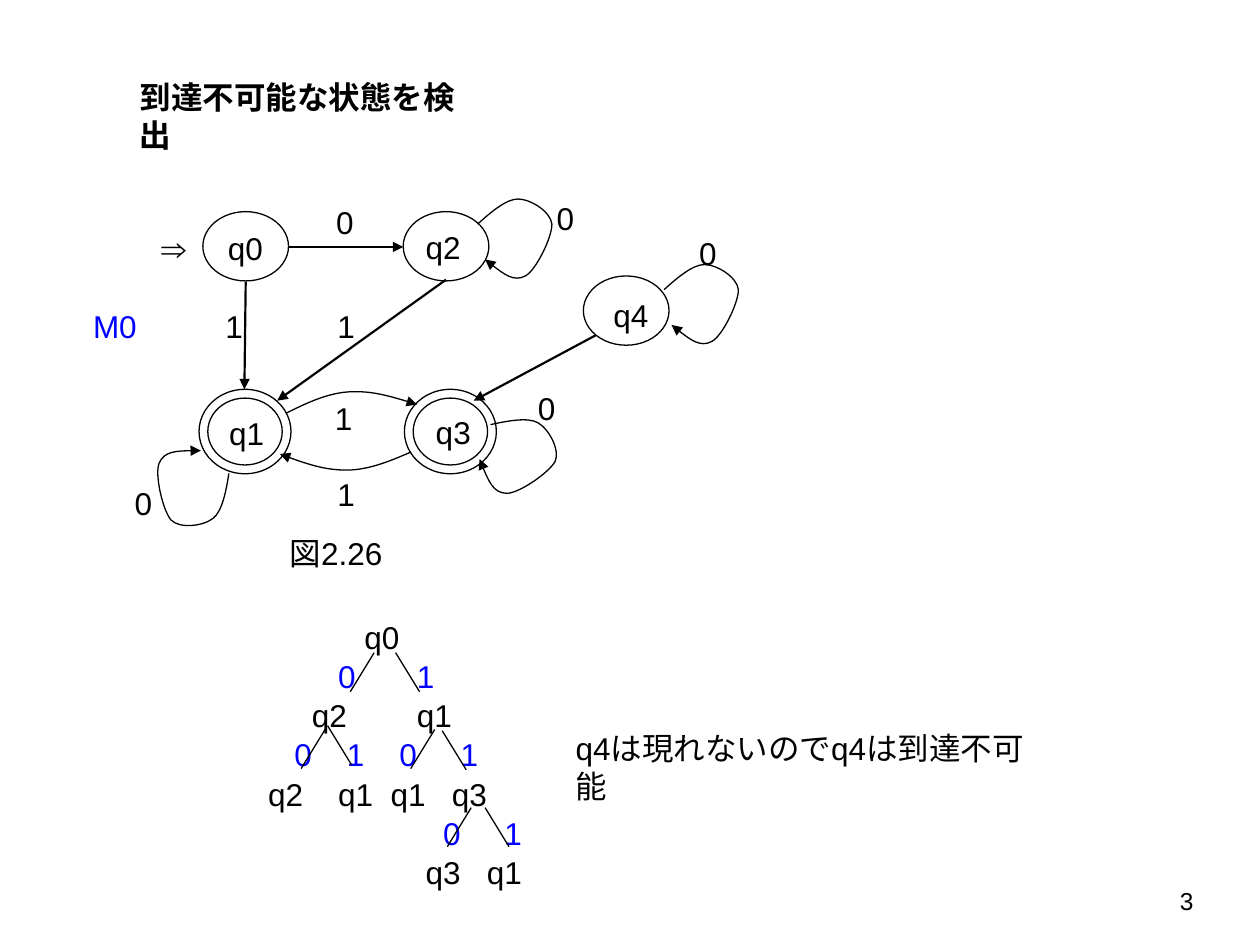
from lxml import etree
from pptx import Presentation
from pptx.dml.color import RGBColor
from pptx.enum.shapes import MSO_CONNECTOR, MSO_SHAPE
from pptx.enum.text import PP_ALIGN
from pptx.oxml.ns import qn
from pptx.util import Inches, Pt

BLACK = RGBColor(0x00, 0x00, 0x00)
BLUE = RGBColor(0x00, 0x00, 0xFF)
STRAIGHT = MSO_CONNECTOR.STRAIGHT
OVAL, DONUT = MSO_SHAPE.OVAL, MSO_SHAPE.DONUT
LEFT, RIGHT = PP_ALIGN.LEFT, PP_ALIGN.RIGHT

# The slide is a grid of 100 columns by 75 rows
CELL = Inches(0.1)

prs = Presentation()
prs.slide_width, prs.slide_height = 100 * CELL, 75 * CELL
slide = prs.slides.add_slide(prs.slide_layouts[6])
shapes = slide.shapes


def write(text, col, row, cols, rows=4, size=18, color=BLACK, bold=False,
          align=LEFT, wrap=False):
    box = shapes.add_textbox(*[round(v * CELL) for v in (col, row, cols, rows)])
    frame = box.text_frame
    frame.word_wrap = wrap
    frame.text = text
    for paragraph in frame.paragraphs:
        paragraph.alignment = align
        font = paragraph.font
        for run in paragraph.runs:
            font = run.font
            font.name, font.size, font.bold = "Arial", Pt(size), bold
            font.color.rgb = color
    return frame


def outline(part, weight=0.75, arrow=None):
    part.line.color.rgb = BLACK
    part.line.width = Pt(weight)
    properties = part.element.spPr
    if arrow:
        etree.SubElement(properties.find(qn("a:ln")), qn(arrow), type="triangle")
    etree.SubElement(properties, qn("a:effectLst"))


# Title, slide number and captions
write("到達不可能な状態を検出", 10.1, 5.7, 29.2, bold=True, wrap=True)
write("3", 72.4, 69.8, 23.3, 5.2, size=14, align=RIGHT, wrap=True)
write("図2.26", 22, 41.9, 9.5, wrap=True)
write("q4は現れないのでq4は到達不可能", 44.7, 57.4, 39.8, wrap=True)
write("M0", 6.4, 23.9, 5.5, color=BLUE)
write("⇒", 11.8, 17.5, 4.8, 4.4, size=20)

# States: outline position, then label position
states = [
    ("q0", OVAL, 16.1, 16.8, 17.1, 17.7),
    ("q2", OVAL, 32, 16.8, 32.8, 17.6),
    ("q4", OVAL, 46.3, 21.9, 47.7, 23),
    ("q1", DONUT, 15.8, 30.9, 17.2, 32.4),
    ("q3", DONUT, 32.1, 30.9, 33.6, 32.3),
]
STATE_SIZE = {OVAL: (6.8, 5.5), DONUT: (7.3, 6.7)}
for name, kind, col, row, label_col, label_row in states:
    cols, rows = STATE_SIZE[kind]
    state = shapes.add_shape(kind, *[round(v * CELL) for v in (col, row, cols, rows)])
    if kind == DONUT:
        state.adjustments[0] = 0.104
    state.fill.background()
    outline(state)
    write(name, label_col, label_row, 4.8)

# Curved transitions: start point, then Bezier triples
LOOP = [(0, 2), (1.1, 1), (2.3, 0), (3.2, 0), (4.2, 0), (5.8, 1), (5.9, 2),
        (5.9, 3.1), (4.6, 5.7), (3.8, 6.1), (2.9, 6.6), (1.7, 5.7), (0.6, 4.8)]
ARC = [(0, 1.8), (1.6, 1), (3.3, 0.2), (5, 0.1), (6.7, 0), (8.5, 0.5), (10.4, 1.1)]
curves = [
    (LOOP, 37.9, 15.8, 0),
    (LOOP, 37.9, 33, 29.7),
    (LOOP, 12.1, 35.1, 141.2),
    (LOOP, 52.7, 21, 0),
    (ARC, 22.7, 31, 0),
    (ARC, 22.2, 35.6, 182.9),
]
for points, col, row, angle in curves:
    start, *rest = [(round(x * CELL), round(y * CELL)) for x, y in points]
    builder = shapes.build_freeform(*start)
    builder.add_line_segments(rest, close=False)
    transition = builder.convert_to_shape(round(col * CELL), round(row * CELL))
    segments = transition.element.xpath(".//a:lnTo")
    for i in range(0, len(segments), 3):
        bezier = etree.Element(qn("a:cubicBezTo"))
        segments[i].addprevious(bezier)
        for segment in segments[i:i + 3]:
            bezier.append(segment[0])
            segment.getparent().remove(segment)
    transition.rotation = angle
    transition.fill.background()
    outline(transition, arrow="a:tailEnd")

# Straight transitions, each with its arrowhead at the first point
arrows = [
    (19.4, 30.9, 19.5, 22.4), (22, 31.8, 35.4, 22.2),
    (32, 19.6, 22.9, 19.6), (37.6, 31.8, 47.3, 26.6),
]
for ends in arrows:
    arrow = shapes.add_connector(STRAIGHT, *[round(v * CELL) for v in ends])
    outline(arrow, 1.25, "a:headEnd")

# Input symbols on the transitions
symbols = {
    "0": [(43.2, 15.3), (9.7, 37.9), (25.7, 15.6), (41.7, 30.4), (54.5, 18.1)],
    "1": [(25.8, 23.9), (16.9, 23.9), (25.6, 31.2), (25.8, 37.2)],
}
for symbol, places in symbols.items():
    for col, row in places:
        write(symbol, col, row, 3.4)

# Reachability tree: each entry stands at a tab stop, counted in 5 pt steps
tree_rows = [
    (BLACK, [(11, "q0")]),
    (BLUE, [(8, "0"), (17, "1")]),
    (BLACK, [(5, "q2"), (17, "q1")]),
    (BLUE, [(3, "0"), (9, "1"), (15, "0"), (22, "1")]),
    (BLACK, [(0, "q2"), (8, "q1"), (14, "q1"), (21, "q3")]),
    (BLUE, [(20, "0"), (27, "1")]),
    (BLACK, [(18, "q3"), (25, "q1")]),
]
lines = ["".join(("\t" if stop else "") + entry for stop, entry in entries)
         for _, entries in tree_rows]
tree = write("\n".join(lines), 20.3, 48.4, 22.4, 22.2, wrap=True)
for paragraph, (color, entries) in zip(tree.paragraphs, tree_rows):
    paragraph.line_spacing = 1.04
    paragraph.runs[0].font.color.rgb = color
    tabs = etree.SubElement(paragraph._p.get_or_add_pPr(), qn("a:tabLst"))
    for stop, _ in entries:
        if stop:
            etree.SubElement(tabs, qn("a:tab"), pos=str(Pt(5 * stop)), algn="l")

# Tree branches: top end, and the side they lean to
branches = [
    (29.7, 51.8, -1), (25.8, 57.9, -1), (34.5, 57.9, -1), (37.4, 64.1, -1),
    (31.4, 51.8, 1), (35.1, 58, 1), (38.5, 64.1, 1), (26, 57.6, 1),
]
for col, row, side in branches:
    ends = (col, row, col + 1.9 * side, row + 3.1)
    outline(shapes.add_connector(STRAIGHT, *[round(v * CELL) for v in ends]))

prs.save("out.pptx")
